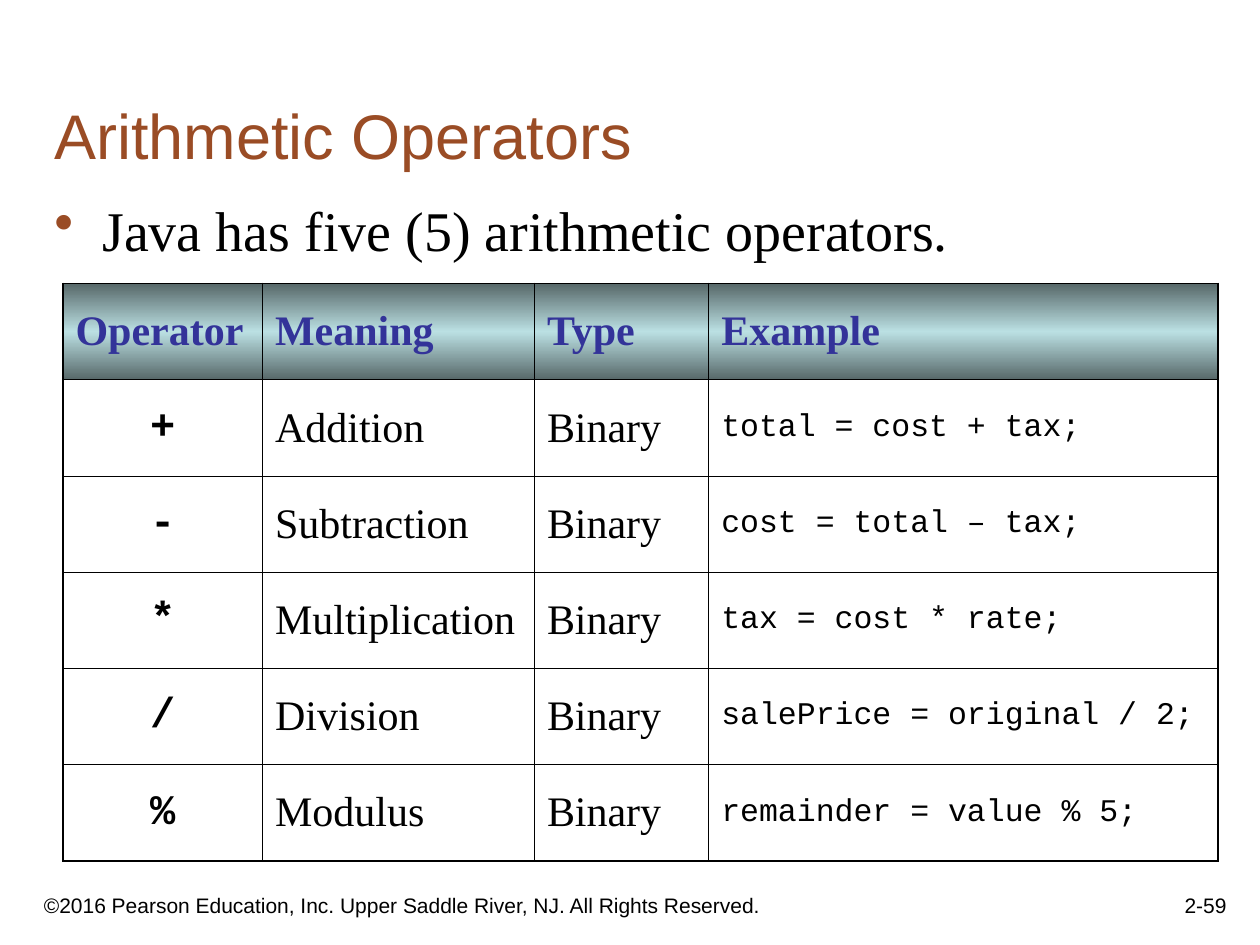
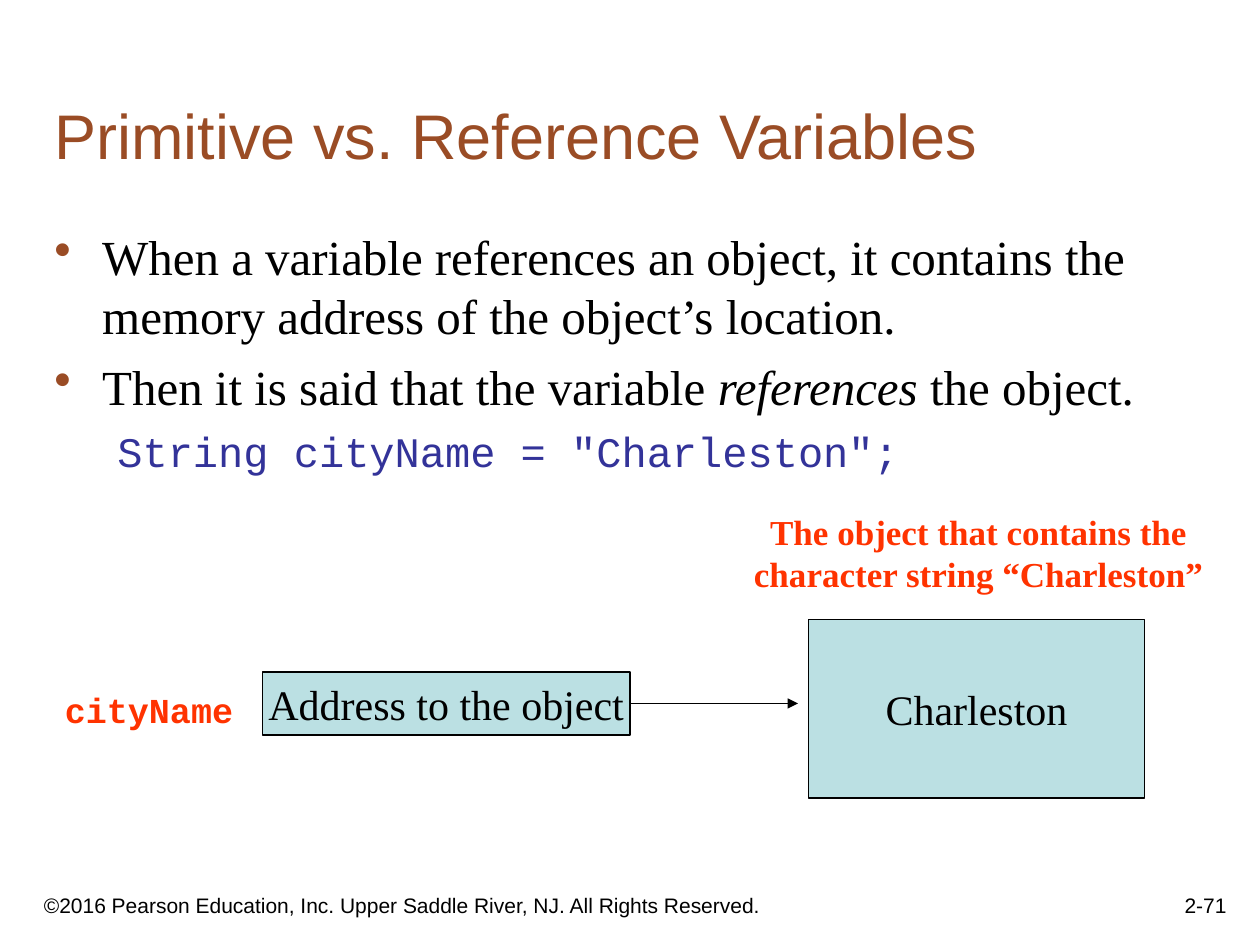
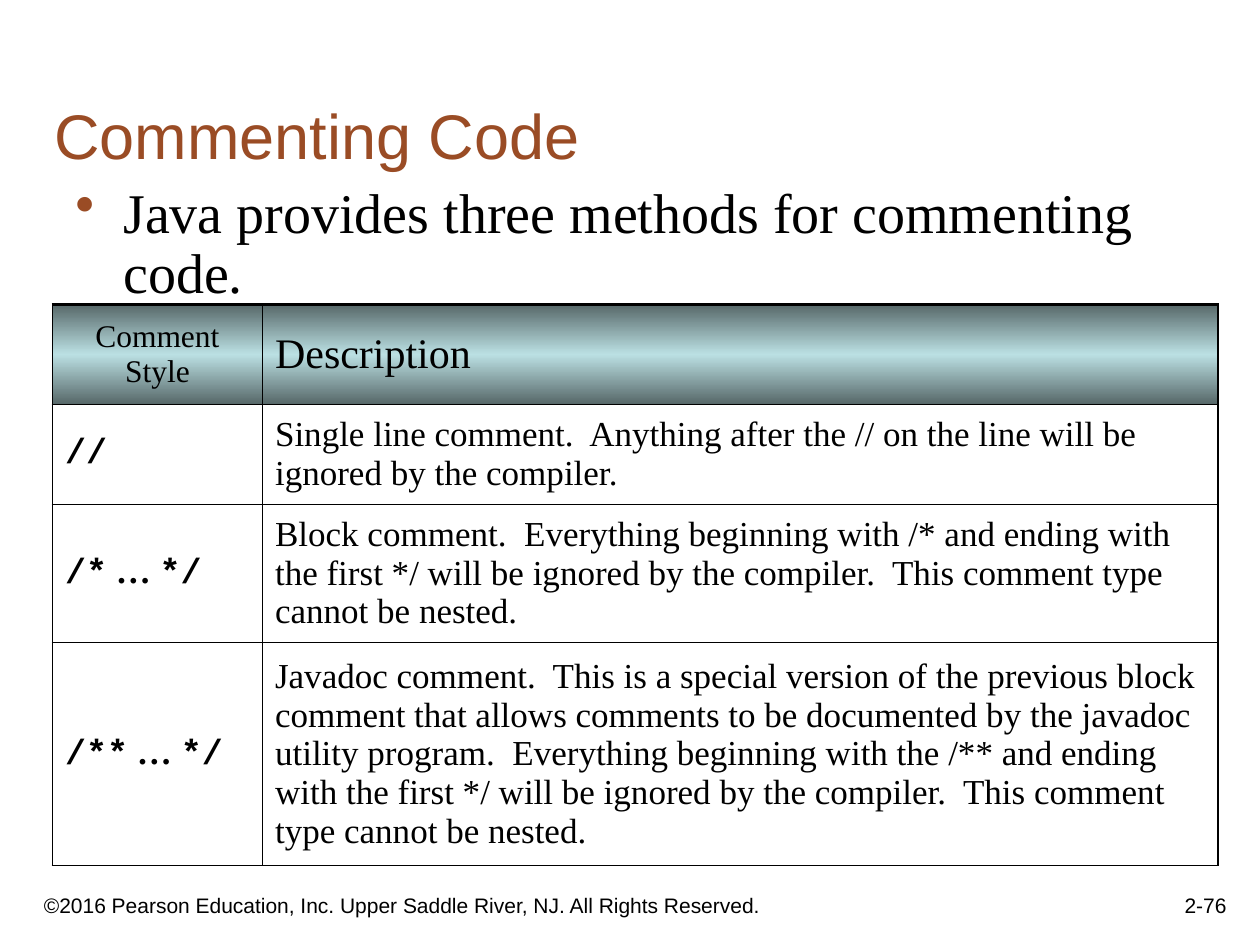
from copy import deepcopy

from lxml import etree
from pptx import Presentation
from pptx import util as u
from pptx.dml.color import RGBColor
from pptx.enum import shapes, text
from pptx.oxml import ns

# Shared look: the slide is a grid of 120 columns and 90 rows
COLOURS = {"black": "000000", "rust": "9A4C25", "indigo": "333399",
           "red": "FF3300", "aqua": "BBE0E3", "slate": "576869"}
SERIF, MONO, SANS = "Times New Roman", "Courier New", "Arial"
WIDTH, HEIGHT = u.Inches(10), u.Inches(7.5)
CELL = WIDTH // 120
LEFT, CENTRE, RIGHT = text.PP_ALIGN.LEFT, text.PP_ALIGN.CENTER, text.PP_ALIGN.RIGHT
TOP, MIDDLE, BOTTOM = (text.MSO_ANCHOR.TOP, text.MSO_ANCHOR.MIDDLE,
                       text.MSO_ANCHOR.BOTTOM)
COPYRIGHT = ("©2016 Pearson Education, Inc. Upper Saddle River, NJ. "
             "All Rights Reserved.")

# Text styles
PLAIN = {"size": 24, "name": SERIF, "colour": "black"}
SMALL = {**PLAIN, "size": 20}
FOOTER = {"size": 12, "name": SANS, "colour": "black"}
TITLE = {"size": 36, "name": SANS, "colour": "rust"}
HEADER = {**PLAIN, "colour": "indigo", "bold": True}
SYMBOL = {**PLAIN, "name": MONO, "bold": True}
EXAMPLE = {**PLAIN, "name": MONO, "size": 18}
MARK = {**SMALL, "name": MONO, "bold": True}
CODE = {**PLAIN, "name": MONO, "colour": "indigo"}
CALLOUT = {**SMALL, "colour": "red", "bold": True}

# Paragraph styles
BULLET = {"bullet": True, "indent": (0.38, -0.38)}
CODE_LINE = {"level": 1, "indent": (0.81, -0.31), "space_before": u.Pt(6)}


def write(frame, paragraphs, anchor=TOP, wrap=True):
    """Each paragraph is (spans, format); each span is (words, font style)."""
    frame.word_wrap, frame.vertical_anchor = wrap, anchor
    for index, (spans, layout) in enumerate(paragraphs):
        para = frame.add_paragraph() if index else frame.paragraphs[0]
        props = para._p.get_or_add_pPr()
        layout = dict(layout)
        if "indent" in layout:
            margin, hanging = layout.pop("indent")
            props.set("marL", str(u.Inches(margin)))
            props.set("indent", str(u.Inches(hanging)))
        if layout.pop("bullet", False):
            tint = etree.SubElement(props, ns.qn("a:buClr"))
            etree.SubElement(tint, ns.qn("a:srgbClr"), val=COLOURS["rust"])
            etree.SubElement(props, ns.qn("a:buChar"), char="•")
        for name, value in layout.items():
            setattr(para, name, value)
        for words, style in spans:
            for number, line in enumerate(words.split("\n")):
                if number:
                    para.add_line_break()
                span = para.add_run()
                span.text = line
                for name, value in style.items():
                    if name == "colour":
                        span.font.color.rgb = RGBColor.from_string(COLOURS[value])
                    else:
                        setattr(span.font, name,
                                u.Pt(value) if name == "size" else value)


def draw_table(page, left, top, columns, rows, entries, top_line):
    """Each entry is (spans, alignment); the first row has a gradient."""
    frame = page.shapes.add_table(len(rows), len(columns), int(left * CELL),
                                  int(top * CELL), int(sum(columns) * CELL),
                                  int(sum(rows) * CELL))
    table = frame.table
    for tracks, sizes, name in ((table.columns, columns, "width"),
                                (table.rows, rows, "height")):
        for track, size in zip(tracks, sizes):
            setattr(track, name, int(size * CELL))
    for row, line in enumerate(entries):
        for column, (spans, align) in enumerate(line):
            cell = table.cell(row, column)
            write(cell.text_frame, [(spans, {"alignment": align})])
            cell.vertical_anchor = MIDDLE
            # Thin inner rules, heavier outer frame
            edges = {"L": 1.08 if column == 0 else 0.45,
                     "R": 1.08 if column == len(columns) - 1 else 0.45,
                     "T": top_line if row == 0 else 0.45,
                     "B": 1.08 if row == len(rows) - 1 else 0.45}
            props = cell._tc.get_or_add_tcPr()
            for side, weight in edges.items():
                rule = etree.SubElement(props, ns.qn("a:ln" + side),
                                        w=str(u.Pt(weight)))
                paint = etree.SubElement(rule, ns.qn("a:solidFill"))
                etree.SubElement(paint, ns.qn("a:srgbClr"), val=COLOURS["black"])
            if row:
                cell.fill.background()
                continue
            cell.fill.gradient()
            cell.fill.gradient_angle = 270
            stops = props.find(".//" + ns.qn("a:gsLst"))
            stops.append(deepcopy(stops[0]))
            for stop, position, colour in zip(cell.fill.gradient_stops, (0, 0.5, 1),
                                              ("slate", "aqua", "slate")):
                stop.position = position
                stop.color.rgb = RGBColor.from_string(COLOURS[colour])


deck = Presentation()
deck.slide_width, deck.slide_height = WIDTH, HEIGHT

# Titles, bullets and footers of all slides
BIG = {**PLAIN, "size": 32}
MEDIUM = {**PLAIN, "size": 28}
outlines = [
    ("Arithmetic Operators", "2-59", (4, 18, 109, 9),
     [([("Java has five (5) arithmetic operators.", BIG)], BULLET)]),
    ("Primitive vs. Reference Variables", "2-71", (4, 21, 109, 31),
     [([("When a variable references an object, it contains the memory address "
         "of the object’s location.", MEDIUM)], BULLET),
      ([("Then it is said that the variable ", MEDIUM),
        ("references", {**MEDIUM, "italic": True}),
        (" the object.", MEDIUM)], {**BULLET, "space_before": u.Pt(7)}),
      ([('String cityName = "Charleston";', CODE)], CODE_LINE)]),
    ("Commenting Code", "2-76", (6, 17, 102, 13),
     [([("Java provides three methods for commenting code.", BIG)],
       {**BULLET, "line_spacing": 0.9})]),
]
pages = []
for title, number, body_area, body in outlines:
    page = deck.slides.add_slide(deck.slide_layouts[6])
    pages.append(page)
    for area, paragraphs, anchor in (
            ((3, 83, 73, 5), [([(COPYRIGHT, FOOTER)], {})], BOTTOM),
            ((93, 82, 25, 6), [([(number, FOOTER)], {"alignment": RIGHT})], BOTTOM),
            ((4, 4, 113, 13), [([(title, TITLE)], {})], BOTTOM),
            (body_area, body, TOP)):
        box = page.shapes.add_textbox(*(side * CELL for side in area))
        write(box.text_frame, paragraphs, anchor)
        if anchor == TOP:
            box.text_frame.margin_right = 0
operators_page, reference_page, comments_page = pages

# Operators table
operators = [("+", "Addition", "total = cost + tax;"),
             ("-", "Subtraction", "cost = total – tax;"),
             ("*", "Multiplication", "tax = cost * rate;"),
             ("/", "Division", "salePrice = original / 2;"),
             ("%", "Modulus", "remainder = value % 5;")]
entries = [[([(name, HEADER)], LEFT)
            for name in ("Operator", "Meaning", "Type", "Example")]]
for symbol, meaning, example in operators:
    entries.append([([(symbol, SYMBOL)], CENTRE), ([(meaning, PLAIN)], LEFT),
                    ([("Binary", PLAIN)], LEFT), ([(example, EXAMPLE)], LEFT)])
draw_table(operators_page, 6, 27, (19, 25.9, 16.6, 48.5), [55 / 6] * 6, entries, 1.08)

# Reference diagram: boxes
boxes = {}
for words, area in (("Charleston", (77, 59, 32, 17)),
                    ("Address to the object", (25, 64, 35, 6))):
    box = reference_page.shapes.add_shape(shapes.MSO_SHAPE.RECTANGLE,
                                          *(side * CELL for side in area))
    box.shadow.inherit = False
    box.fill.solid()
    box.fill.fore_color.rgb = RGBColor.from_string(COLOURS["aqua"])
    box.line.color.rgb = RGBColor.from_string(COLOURS["black"])
    box.line.width = u.Pt(0.75)
    write(box.text_frame, [([(words, PLAIN)], {"alignment": CENTRE})], MIDDLE, False)
    boxes[words] = box

# Reference diagram: red labels
for lines, style, align, area in (
        (["cityName"], {**CALLOUT, "name": MONO}, LEFT, (5, 65, 18.4, 5.3)),
        (["The object that contains the", "character string “Charleston”"],
         CALLOUT, CENTRE, (70.6, 48, 45.2, 9.2))):
    box = reference_page.shapes.add_textbox(*(int(side * CELL) for side in area))
    write(box.text_frame, [([(line, style)], {"alignment": align}) for line in lines],
          wrap=False)

# Reference diagram: arrow
arrow = reference_page.shapes.add_connector(shapes.MSO_CONNECTOR.STRAIGHT, 60 * CELL,
                                            67 * CELL, 76 * CELL, 67 * CELL)
arrow.begin_connect(boxes["Address to the object"], 3)
arrow.line.color.rgb = RGBColor.from_string(COLOURS["black"])
arrow.line.width = u.Pt(0.75)
etree.SubElement(arrow.line._get_or_add_ln(), ns.qn("a:tailEnd"), type="triangle")
etree.SubElement(arrow._element.spPr, ns.qn("a:effectLst"))

# Comment styles table
DOTS = (" … ", {**SMALL, "bold": True})
comments = [
    ([("//", MARK)],
     "Single line comment.  Anything after the // on the line will be ignored by "
     "the compiler."),
    ([("/*", MARK), DOTS, ("*/", MARK)],
     "Block comment.  Everything beginning with /* and ending with the first */ "
     "will be ignored by the compiler.  This comment type cannot be nested."),
    ([("/**", MARK), DOTS, ("*/", MARK)],
     "Javadoc comment.  This is a special version of the previous block comment "
     "that allows comments to be documented by the javadoc utility program.  "
     "Everything beginning with the /** and ending with the first */ will be "
     "ignored by the compiler.  This comment type cannot be nested."),
]
entries = [[([("Comment\nStyle", {**PLAIN, "size": 18})], CENTRE),
            ([("Description", PLAIN)], LEFT)]]
for mark, description in comments:
    entries.append([(mark, LEFT), ([(description, SMALL)], LEFT)])
draw_table(comments_page, 5, 29, (20, 91), (9.5, 9.5, 13.2, 21.2), entries, 1.47)

deck.save("out.pptx")
